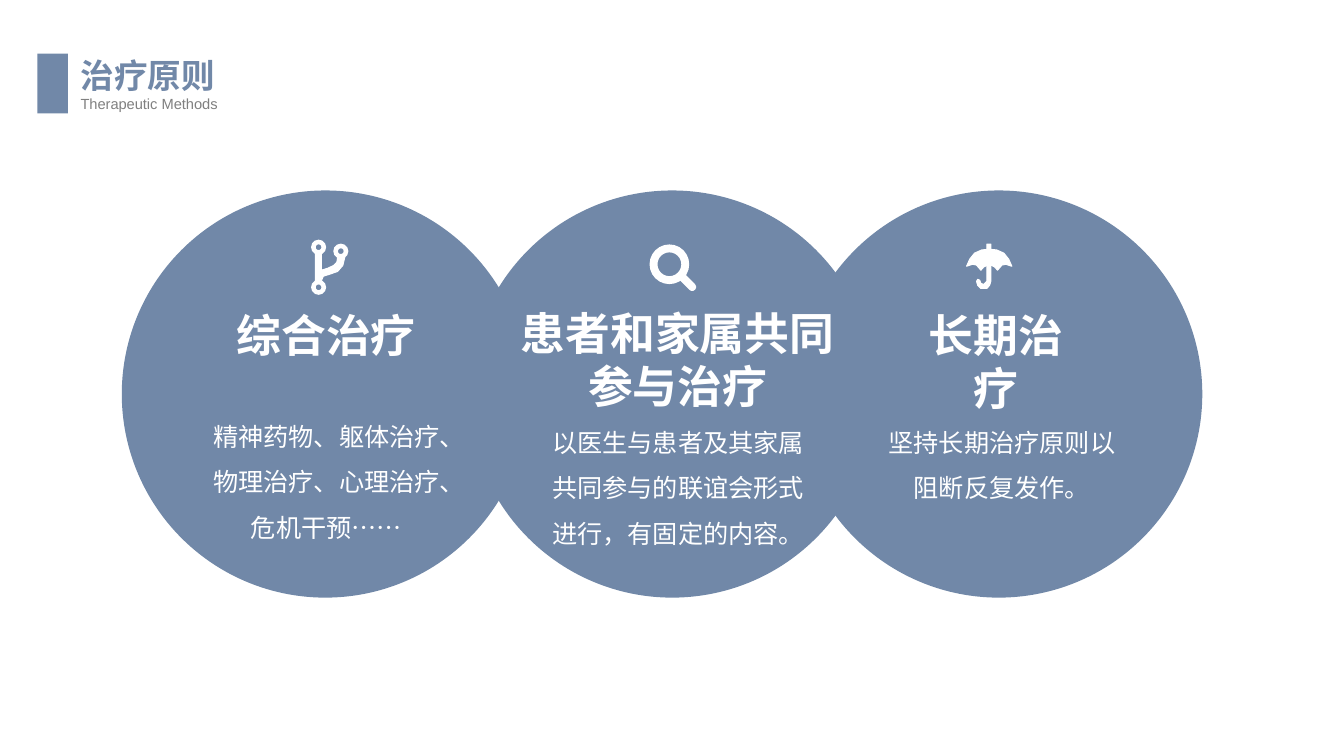
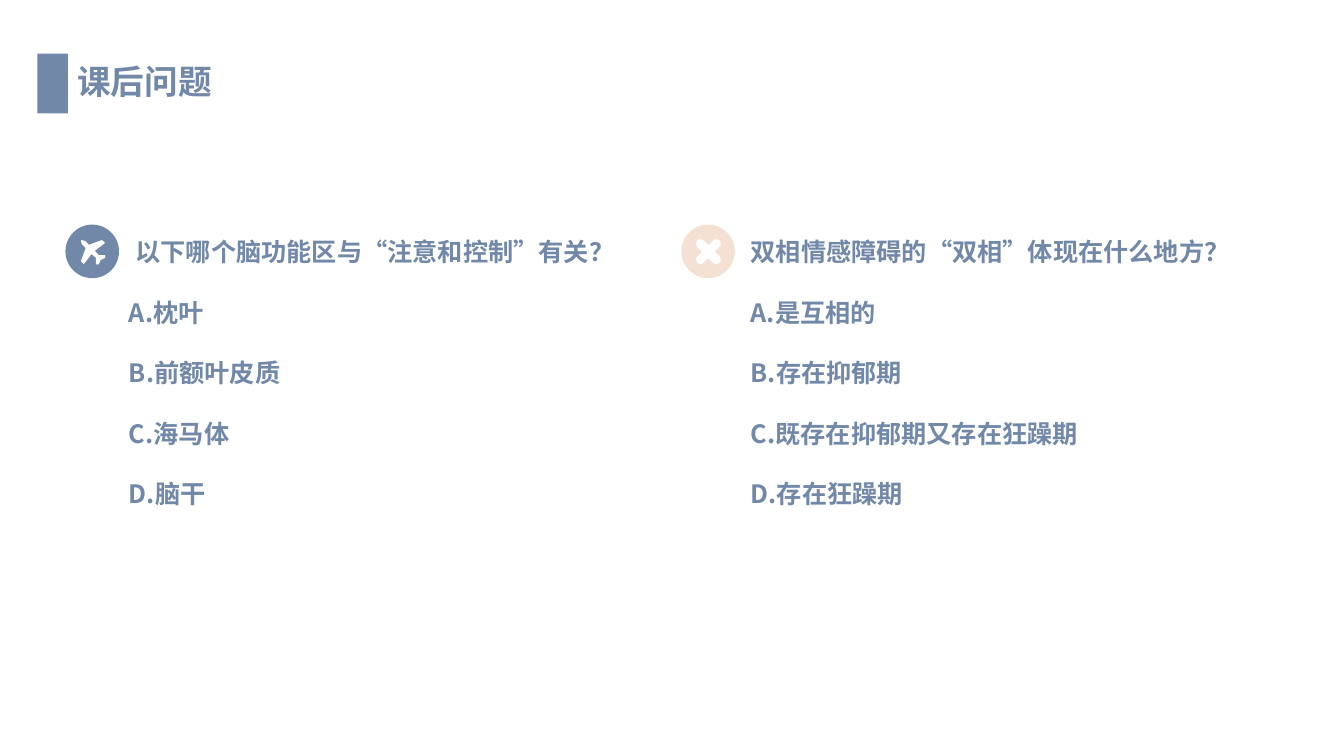
import pptx
import pptx.dml.color
import pptx.enum.shapes
import pptx.enum.text
import pptx.oxml.ns
import pptx.util
from lxml import etree

Cm = pptx.util.Cm
Pt = pptx.util.Pt
RGBColor = pptx.dml.color.RGBColor
KIND = pptx.enum.shapes.MSO_SHAPE
ALIGN = pptx.enum.text.PP_ALIGN
qn = pptx.oxml.ns.qn

BLUE = RGBColor(0x71, 0x88, 0xA8)
PEACH = RGBColor(0xF5, 0xE0, 0xD4)
GREY = RGBColor(0x80, 0x80, 0x80)
WHITE = RGBColor(0xFF, 0xFF, 0xFF)
SANS = "Noto Sans CJK SC"
LATIN = "Arial"

# Icon outlines, in hundredths of a centimetre
FORK = [(10, 33), (25, 33), (25, 76), (41, 71), (56, 64), (64, 56), (66, 43),
        (84, 43), (79, 64), (66, 79), (46, 86), (30, 91), (25, 102),
        (25, 104), (10, 104)]
HALF = [(57, 13), (38, 15), (20, 23), (8, 38), (0, 56), (15, 51), (25, 53),
        (36, 66), (43, 58), (57, 51)]
CANOPY = HALF + [(114 - x, y) for x, y in reversed(HALF)]
HOOK = [(51, 0), (61, 0), (61, 94), (58, 104), (51, 112), (36, 112),
        (28, 104), (25, 94), (28, 89), (33, 91), (36, 99), (43, 102), (51, 94)]
PLANE = [(48, 41), (38, 30), (64, 10), (56, 3), (23, 15), (13, 5), (3, 3),
         (5, 13), (15, 23), (3, 56), (10, 64), (30, 38), (41, 48), (41, 64),
         (48, 64), (53, 53), (64, 48), (64, 41)]


class Deck:
    """Holds the style and the current slide; all lengths are in cm."""

    def __init__(self):
        self.prs = pptx.Presentation()
        self.prs.slide_width = Cm(33.87)
        self.prs.slide_height = Cm(19.05)
        self.slide = None

    def page(self, title, left, top):
        self.slide = self.prs.slides.add_slide(self.prs.slide_layouts[6])
        self.shape(KIND.RECTANGLE, 0.94, 1.35, 0.77, 1.51, BLUE)
        self.text([title], left, top, 6, 1.27, 24, BLUE, bold=True, face=LATIN)

    def paint(self, shape, color, edge=0):
        shape.shadow.inherit = False
        shape.fill.solid()
        shape.fill.fore_color.rgb = color
        if edge:
            shape.line.color.rgb = color
            shape.line.width = Pt(edge)
        else:
            shape.line.fill.background()

    def shape(self, kind, left, top, width, height, color):
        shape = self.slide.shapes.add_shape(
            kind, Cm(left), Cm(top), Cm(width), Cm(height))
        self.paint(shape, color)
        return shape

    def disc(self, left, top, size, color):
        self.shape(KIND.OVAL, left, top, size, size, color)

    def ring(self, x, y, size, band):
        """Draw a white ring centred on x, y; band is a share of its size."""
        ring = self.shape(KIND.DONUT, x - size / 2, y - size / 2, size, size, WHITE)
        ring.adjustments[0] = band

    def bar(self, x, y, length, thick, angle):
        """Draw a white round-ended bar centred on x, y."""
        bar = self.shape(KIND.ROUNDED_RECTANGLE, x - length / 2, y - thick / 2,
                         length, thick, WHITE)
        bar.adjustments[0] = 0.5
        bar.rotation = angle

    def glyph(self, points, left, top, edge=0):
        pen = self.slide.shapes.build_freeform(*points[0], scale=Cm(0.01))
        pen.add_line_segments(points[1:], close=True)
        self.paint(pen.convert_to_shape(Cm(left), Cm(top)), WHITE, edge)

    def text(self, lines, left, top, width, height, size, color, bold=False,
             align=ALIGN.LEFT, face=SANS, pitch=None, gap=0):
        box = self.slide.shapes.add_textbox(
            Cm(left), Cm(top), Cm(width), Cm(height))
        frame = box.text_frame
        frame.word_wrap = True
        for i, line in enumerate(lines):
            para = frame.paragraphs[0] if i == 0 else frame.add_paragraph()
            para.text = line
            para.alignment = align
            if pitch:
                para.line_spacing = pitch
            if i and gap:
                para.space_before = Pt(gap)
            font = para.font
            font.size = Pt(size)
            font.bold = bold
            font.color.rgb = color
            font.name = face
            east = etree.SubElement(para._p.pPr.find(qn("a:defRPr")), qn("a:ea"))
            east.set("typeface", SANS)
        return frame

    def topic(self, left, head, head_at, body, body_at):
        """Draw a disc with head and body, each placed by (centre, top, width)."""
        self.disc(left, 4.8, 10.26, BLUE)
        x, top, width = head_at
        self.text(head, x - width / 2, top, width, 1.5, 32, WHITE,
                  bold=True, align=ALIGN.CENTER)
        x, top, width = body_at
        self.text([body], x - width / 2, top, width, 3.7, 18, WHITE,
                  align=ALIGN.CENTER, pitch=1.5)

    def quiz(self, lines, left, width, color, dot):
        self.disc(dot, 5.66, 1.35, color)
        return self.text(lines, left, 5.84, width, 8.5, 18, BLUE,
                         bold=True, gap=21.6)


def methods(deck):
    deck.page("治疗原则", 1.78, 1.27)
    deck.text(["Therapeutic Methods"], 1.78, 2.26, 11, 0.71, 10.5, GREY, face=LATIN)

    topics = [
        (20.04, ["长期治疗"], (25.1, 7.62, 4.47),
         "坚持长期治疗原则以阻断反复发作。", (25.25, 10.26, 6.35)),
        (3.07, ["综合治疗"], (8.22, 7.62, 5.2),
         "精神药物、躯体治疗、物理治疗、心理治疗、危机干预……", (8.23, 10.11, 6.35)),
        (11.81, ["患者和家属共同", "参与治疗"], (17.08, 7.57, 8.6),
         "以医生与患者及其家属共同参与的联谊会形式进行，有固定的内容。",
         (17.09, 10.26, 7.01)),
    ]
    for topic in topics:
        deck.topic(*topic)

    deck.glyph(FORK, 7.85, 6.05, edge=0.75)
    for x, y in [(8.03, 6.23), (8.03, 7.24), (8.59, 6.33)]:
        deck.ring(x, y, 0.38, 0.31)
    deck.ring(16.87, 6.66, 1, 0.2)
    deck.bar(17.33, 7.12, 0.52, 0.2, 45)
    for part in (CANOPY, HOOK):
        deck.glyph(part, 24.36, 6.15, edge=0.75)


def quizzes(deck):
    deck.page("课后问题", 1.7, 1.42)
    deck.quiz(["双相情感障碍的“双相”体现在什么地方？", "A.是互相的", "B.存在抑郁期",
               "C.既存在抑郁期又存在狂躁期", "D.存在狂躁期"],
              18.67, 13.54, PEACH, 17.17)
    for angle in (45, 135):
        deck.bar(17.85, 6.34, 0.79, 0.23, angle)
    brain = deck.quiz(["以下哪个脑功能区与“注意和控制”有关？", "A.枕叶", "B.前额叶皮质",
                       "C.海马体", "D.脑干"], 3, 12.73, BLUE, 1.65)
    brain.paragraphs[0].alignment = ALIGN.RIGHT
    deck.glyph(PLANE, 2.01, 6.02)


def main():
    deck = Deck()
    methods(deck)
    quizzes(deck)
    deck.prs.save("out.pptx")


if __name__ == "__main__":
    main()
